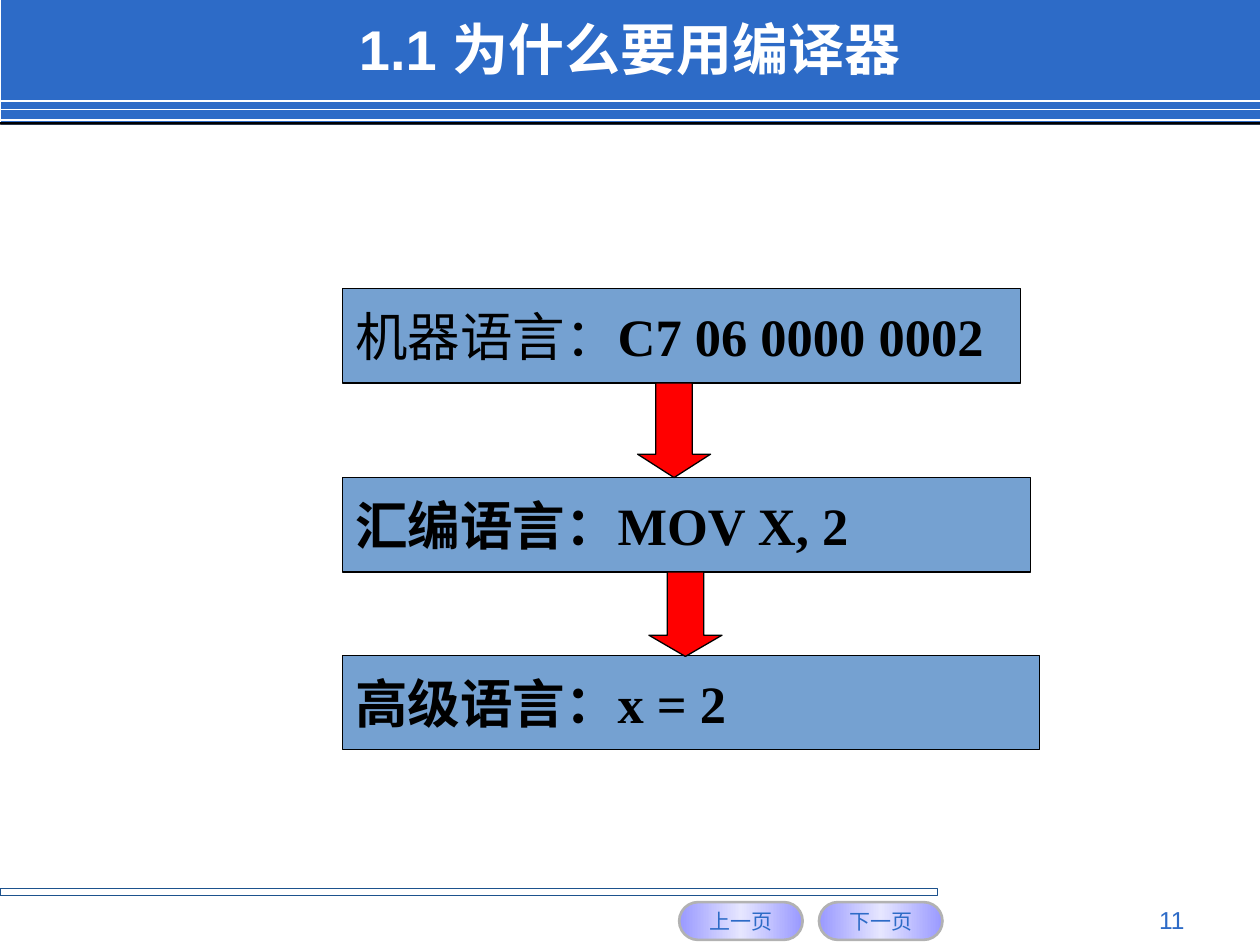
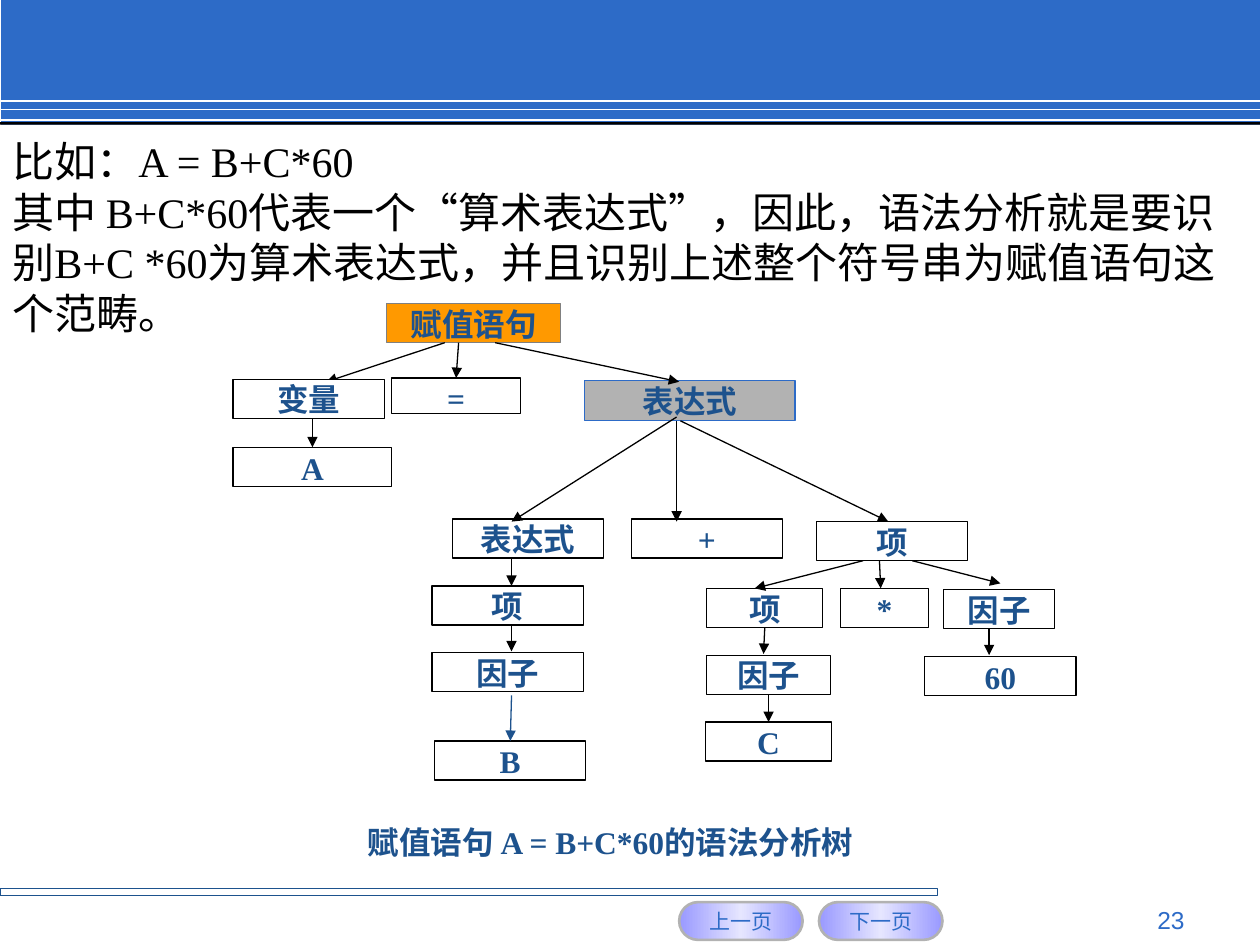
"""Builds two compiler course slides: why compilers are used, and a syntax tree."""
from copy import deepcopy
from dataclasses import dataclass
from math import hypot
from typing import NamedTuple

from lxml.etree import SubElement
from pptx import Presentation
from pptx.dml.color import RGBColor
from pptx.enum.lang import MSO_LANGUAGE_ID
from pptx.enum.shapes import MSO_CONNECTOR, MSO_SHAPE
from pptx.enum.text import MSO_ANCHOR, PP_ALIGN
from pptx.oxml.ns import qn
from pptx.util import Inches, Pt

WIDTH, HEIGHT = Inches(10), Inches(7.5)
COLS, ROWS = 100, 75
GLUE = 0.25
COLORS = {
    "blue": "2D6BC7", "navy": "1D528D", "steel": "75A1D1", "red": "FF0000",
    "orange": "FF9900", "gray": "B2B2B2", "dim": "808080", "lilac": "9999FF",
    "pale": "E6E6FF", "white": "FFFFFF", "black": "000000",
}


class Area(NamedTuple):
    left: float
    top: float
    width: float
    height: float

    def sides(self) -> list[tuple[float, float]]:
        mid, half = self.left + self.width / 2, self.top + self.height / 2
        return [(mid, self.top), (self.left, half),
                (mid, self.top + self.height), (self.left + self.width, half)]


@dataclass(frozen=True)
class Style:
    size: float
    color: str
    font: str = "Times New Roman"
    bold: bool = False
    align: PP_ALIGN = PP_ALIGN.LEFT
    anchor: MSO_ANCHOR = MSO_ANCHOR.TOP
    inset: float = 0.5


@dataclass(frozen=True)
class Node:
    text: str
    left: float
    top: float
    width: float = 12
    height: float = 3.1
    fill: str = "white"
    line: str = "black"


@dataclass(frozen=True)
class Link:
    start: tuple[float, float]
    end: tuple[float, float]
    color: str = "black"


class Stage(NamedTuple):
    label: str
    code: str
    top: float
    width: float
    bold: bool


class Arrow(NamedTuple):
    area: Area
    head: float


TITLE = Style(32, "white", "Arial", True, anchor=MSO_ANCHOR.MIDDLE)
BUTTON = Style(12, "blue", "Arial", align=PP_ALIGN.CENTER, anchor=MSO_ANCHOR.MIDDLE)
PAGE = Style(14, "blue", "Arial", align=PP_ALIGN.RIGHT)
BODY = Style(24, "black")
STAGE = Style(30, "black", anchor=MSO_ANCHOR.MIDDLE)
LEAF = Style(18, "navy", bold=True, align=PP_ALIGN.CENTER, inset=0.1)
NOTE = Style(18, "navy", bold=True, align=PP_ALIGN.CENTER)

STAGES = [
    Stage("机器语言：", "C7 06 0000 0002", 22.9, 53.8, False),
    Stage("汇编语言：", "MOV X, 2", 37.9, 54.6, True),
    Stage("高级语言：", "x = 2", 52, 55.3, True),
]
ARROWS = [
    Arrow(Area(50.6, 30.4, 5.8, 7.5), 0.32),
    Arrow(Area(51.5, 45.4, 5.8, 6.7), 0.29),
]
INTRO = [
    "比如：A = B+C*60",
    "其中 B+C*60代表一个“算术表达式”，因此，语法分析就是要识别B+C *60为算术表达式，"
    "并且识别上述整个符号串为赋值语句这个范畴。",
]
TREE = [
    Node("赋值语句", 30.7, 24.1, 13.8, fill="orange", line="dim"),
    Link((35.3, 27.2), (25.9, 30.3)),
    Node("变量", 18.5, 30.1),
    Node("A", 18.5, 35.5, 12.6),
    Link((24.8, 33.2), (24.8, 35.7)),
    Node("=", 31.1, 30, 10.2, 2.8),
    Link((36.4, 27.2), (36.4, 30.1)),
    Node("表达式", 46.4, 30.2, 16.7, 3.2, "gray", "blue"),
    Link((39.3, 27.2), (53.9, 30.3)),
    Node("表达式", 35.9, 41.2),
    Link((53.7, 33.1), (40.6, 41.4)),
    Node("项", 34.3, 46.5),
    Link((40.6, 44.3), (40.6, 46.5)),
    Node("因子", 34.3, 51.8),
    Link((40.6, 49.6), (40.6, 51.7)),
    Node("B", 34.5, 58.8),
    Node("+", 50.1, 41.2),
    Link((53.7, 33.4), (53.7, 41.4)),
    Node("项", 64.8, 41.4),
    Link((54, 33.4), (70.5, 41.4)),
    Node("项", 56.1, 46.7, 9.2),
    Node("*", 66.7, 46.7, 7),
    Node("因子", 56.1, 52, 9.8),
    Link((60.6, 49.8), (60.6, 51.9)),
    Node("C", 56, 57.3, 10),
    Link((61, 55.1), (61, 57.2)),
    Link((68.5, 44.5), (59.9, 46.7)),
    Link((72.4, 44.5), (79.4, 46.3)),
    Link((69.8, 44.5), (69.9, 46.7)),
    Node("因子", 74.9, 46.8, 8.8),
    Node("60", 73.4, 52.1),
    Link((78.5, 49.9), (78.5, 52)),
    Link((40.6, 55.2), (40.6, 58.6), "navy"),
]


def rgb(name: str) -> RGBColor:
    return RGBColor.from_string(COLORS[name])


def col(count: float) -> int:
    return round(WIDTH * count / COLS)


def row(count: float) -> int:
    return round(HEIGHT * count / ROWS)


def place(area: Area) -> tuple[int, int, int, int]:
    return col(area.left), row(area.top), col(area.width), row(area.height)


def write(shape, paras: list[list[tuple[str, bool]]], style: Style) -> None:
    frame = shape.text_frame
    frame.word_wrap = True
    frame.vertical_anchor = style.anchor
    frame.margin_left = frame.margin_right = col(1)
    frame.margin_top, frame.margin_bottom = row(style.inset), row(0.5)
    for index, runs in enumerate(paras):
        para = frame.add_paragraph() if index else frame.paragraphs[0]
        para.alignment = style.align
        for text, bold in runs:
            run = para.add_run()
            run.text = text
            font = run.font
            font.name, font.size, font.bold = style.font, Pt(style.size), bold
            font.color.rgb = rgb(style.color)
            font.language_id = MSO_LANGUAGE_ID.SIMPLIFIED_CHINESE


def label(slide, area: Area, lines: list[str], style: Style) -> None:
    box = slide.shapes.add_textbox(*place(area))
    write(box, [[(line, style.bold)] for line in lines], style)


def draw(slide, area: Area, fill: str = "", line: str = "", kind=MSO_SHAPE.RECTANGLE):
    shape = slide.shapes.add_shape(kind, *place(area))
    shape.shadow.inherit = False
    if fill:
        shape.fill.solid()
        shape.fill.fore_color.rgb = rgb(fill)
    else:
        shape.fill.background()
    if line:
        shape.line.color.rgb = rgb(line)
        shape.line.width = Pt(0.75)
    else:
        shape.line.fill.background()
    return shape


def join(slide, link: Link, width: float = 0.75):
    (left, top), (right, low) = link.start, link.end
    line = slide.shapes.add_connector(
        MSO_CONNECTOR.STRAIGHT, col(left), row(top), col(right), row(low))
    line.line.color.rgb = rgb(link.color)
    line.line.width = Pt(width)
    SubElement(line._element.spPr, qn("a:effectLst"))
    return line


def button(slide, left: float, text: str) -> None:
    shape = draw(slide, Area(left, 71.6, 9.8, 3), line="gray", kind=MSO_SHAPE.ROUNDED_RECTANGLE)
    shape.adjustments[0] = 0.5
    shape.line.width = Pt(1.5)
    shape.fill.gradient()
    shape.fill.gradient_angle = 0
    stops = shape._element.spPr.find(qn("a:gradFill")).find(qn("a:gsLst"))
    stops.insert(1, deepcopy(stops[0]))
    for index, (stop, tone) in enumerate(zip(shape.fill.gradient_stops, ("lilac", "pale", "lilac"))):
        stop.position = index / 2
        stop.color.rgb = rgb(tone)
    write(shape, [[(text, False)]], BUTTON)


def base(deck, page: str):
    slide = deck.slides.add_slide(deck.slide_layouts[6])
    draw(slide, Area(0.1, 0, 99.9, 9.9), "blue")
    for level in (8, 8.7, 9.5):
        join(slide, Link((0, level), (COLS, level), "white"), 1)
    draw(slide, Area(0, 9.7, COLS, 0.2), "black")
    draw(slide, Area(0, 70.5, 74.4, 0.6), line="navy")
    for left, text in ((53.9, "上一页"), (65, "下一页")):
        button(slide, left, text)
    label(slide, Area(71.7, 71.3, 23.3, 2.7), [page], PAGE)
    return slide


def glue(nodes: list, spot: tuple[float, float], attach) -> None:
    for area, shape in nodes:
        for side, (left, top) in enumerate(area.sides()):
            if hypot(left - spot[0], top - spot[1]) <= GLUE:
                attach(shape, side)
                return


def grow(slide) -> None:
    nodes = []
    for part in TREE:
        if isinstance(part, Node):
            area = Area(part.left, part.top, part.width, part.height)
            shape = draw(slide, area, part.fill, part.line)
            write(shape, [[(part.text, True)]], LEAF)
            nodes.append((area, shape))
        else:
            line = join(slide, part)
            glue(nodes, part.start, line.begin_connect)
            glue(nodes, part.end, line.end_connect)
            stroke = line._element.spPr.find(qn("a:ln"))
            SubElement(stroke, qn("a:tailEnd"), type="triangle")


def main() -> None:
    deck = Presentation()
    deck.slide_width, deck.slide_height = WIDTH, HEIGHT

    why = base(deck, "11")
    label(why, Area(27.5, 0.9, 69.2, 5.8), ["1.1 为什么要用编译器"], TITLE)
    for stage in STAGES:
        box = draw(why, Area(27.2, stage.top, stage.width, 7.5), "steel", "black")
        write(box, [[(stage.label, stage.bold), (stage.code, True)]], STAGE)
    for arrow in ARROWS:
        shape = draw(why, arrow.area, "red", "black", MSO_SHAPE.DOWN_ARROW)
        shape.adjustments[0], shape.adjustments[1] = 0.5, arrow.head

    parse = base(deck, "23")
    label(parse, Area(0, 10.3, COLS, 17), INTRO, BODY)
    grow(parse)
    label(parse, Area(27.3, 64.8, 42.3, 4.2), ["赋值语句 A = B+C*60的语法分析树"], NOTE)
    deck.save("out.pptx")


if __name__ == "__main__":
    main()
